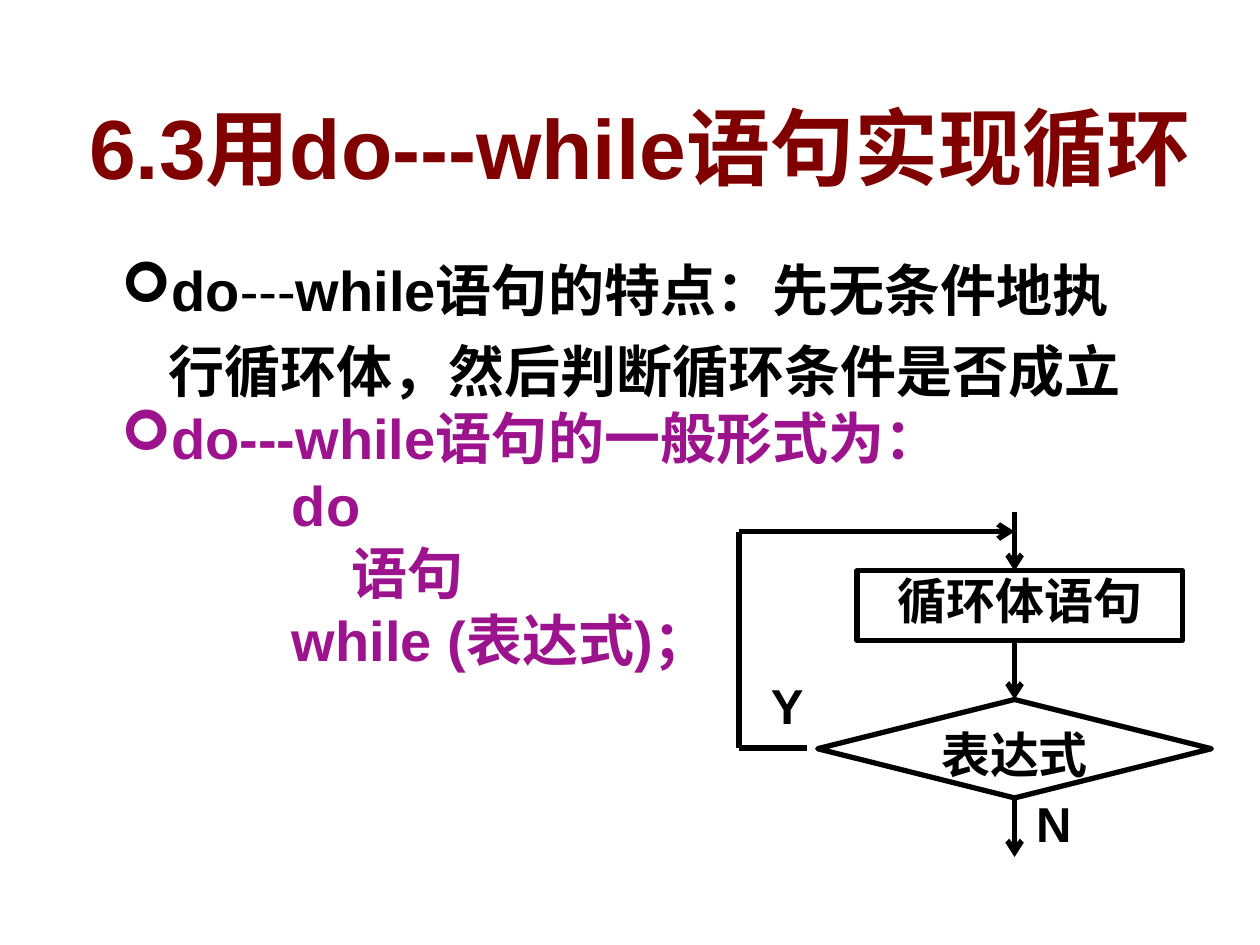
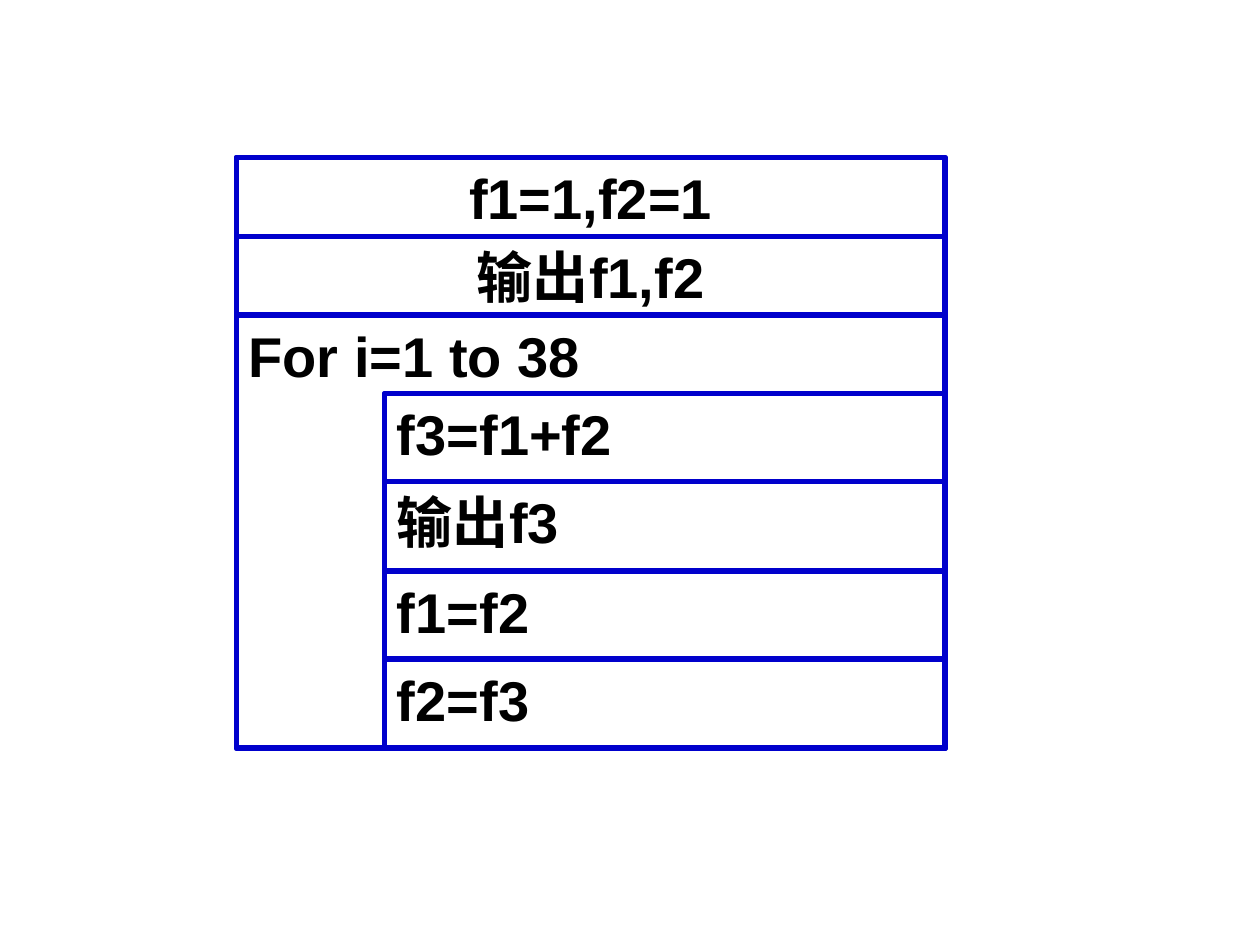
from dataclasses import dataclass

from pptx import Presentation
from pptx.dml.color import RGBColor
from pptx.enum.lang import MSO_LANGUAGE_ID
from pptx.enum.shapes import MSO_CONNECTOR, MSO_SHAPE
from pptx.enum.text import MSO_ANCHOR, PP_ALIGN
from pptx.oxml import parse_xml
from pptx.oxml.ns import nsdecls, qn
from pptx.util import Pt

EMU_PER_PX = 9525
FONT = "Arial"
BLACK, WHITE = "000000", "FFFFFF"
MAROON, PURPLE, BLUE = "800000", "9D138D", "0000CC"
TITLE_SIZE, BODY_SIZE, FLOW_SIZE = 48, 32, 28
LINE_WIDTH = 3
BULLET_INDENT = 36

LEFT, CENTER = PP_ALIGN.LEFT, PP_ALIGN.CENTER
TOP, MIDDLE = MSO_ANCHOR.TOP, MSO_ANCHOR.MIDDLE
STRAIGHT = MSO_CONNECTOR.STRAIGHT
PROCESS = MSO_SHAPE.FLOWCHART_PROCESS
DECISION = MSO_SHAPE.FLOWCHART_DECISION
RECTANGLE = MSO_SHAPE.RECTANGLE
CHINESE = MSO_LANGUAGE_ID.SIMPLIFIED_CHINESE
SIDE_TOP, SIDE_BOTTOM = 0, 2


@dataclass
class Box:
    left: int
    top: int
    width: int
    height: int

    def emu(self) -> list[int]:
        return [px(n) for n in (self.left, self.top, self.width, self.height)]


@dataclass
class Segment:
    text: str
    bold: bool = True


@dataclass
class BodyLine:
    segments: list[Segment]
    color: str = PURPLE
    margin: int = BULLET_INDENT
    bullet: bool = False
    line_spacing: float = 1.0
    space_before: int = 0


@dataclass
class Cell:
    box: Box
    text: str = ""
    align: PP_ALIGN = LEFT
    kind: MSO_SHAPE = PROCESS


def px(length: int) -> int:
    return length * EMU_PER_PX


def rgb(color: str) -> RGBColor:
    return RGBColor.from_string(color)


def add_run(paragraph, text: str, size: int, color: str = BLACK, bold: bool = True):
    run = paragraph.add_run()
    run.text = text
    font = run.font
    font.name, font.size, font.bold = FONT, Pt(size), bold
    font.color.rgb = rgb(color)
    font.language_id = CHINESE
    return run


def add_text_shadow(run) -> None:
    fill = run._r.get_or_add_rPr().find(qn("a:solidFill"))
    fill.addnext(parse_xml(
        f'<a:effectLst {nsdecls("a")}><a:outerShdw dist="38100" dir="2700000">'
        '<a:srgbClr val="C0C0C0"/></a:outerShdw></a:effectLst>'))


def add_text_box(slide, box: Box, anchor: MSO_ANCHOR = TOP):
    frame = slide.shapes.add_textbox(*box.emu()).text_frame
    frame.word_wrap = True
    frame.vertical_anchor = anchor
    return frame


def add_title(slide, text: str) -> None:
    frame = add_text_box(slide, Box(45, 30, 885, 163), MIDDLE)
    paragraph = frame.paragraphs[0]
    paragraph.alignment = CENTER
    add_text_shadow(add_run(paragraph, text, TITLE_SIZE, MAROON))


def set_indent(paragraph, line: BodyLine) -> None:
    """Set the left margin, with a hanging arrow bullet where there is one."""
    properties = paragraph._p.get_or_add_pPr()
    properties.set("marL", str(px(line.margin)))
    properties.set("indent", str(-px(BULLET_INDENT) if line.bullet else 0))
    if line.bullet:
        for xml in (f'<a:buClr {nsdecls("a")}><a:srgbClr val="{line.color}"/></a:buClr>',
                    f'<a:buFont {nsdecls("a")} typeface="Wingdings" charset="2"/>',
                    f'<a:buChar {nsdecls("a")} char="➢"/>'):
            properties.append(parse_xml(xml))


def add_body(slide, box: Box, lines: list[BodyLine]) -> None:
    frame = add_text_box(slide, box)
    for index, line in enumerate(lines):
        paragraph = frame.add_paragraph() if index else frame.paragraphs[0]
        paragraph.line_spacing = line.line_spacing
        paragraph.space_before = Pt(line.space_before)
        set_indent(paragraph, line)
        for segment in line.segments:
            add_run(paragraph, segment.text, BODY_SIZE, line.color, segment.bold)


def add_cell(shapes, cell: Cell, line_color: str, size: int, inset: bool = True):
    shape = shapes.add_shape(cell.kind, *cell.box.emu())
    shape.shadow.inherit = False
    shape.fill.solid()
    shape.fill.fore_color.rgb = rgb(WHITE)
    shape.line.color.rgb = rgb(line_color)
    shape.line.width = Pt(LINE_WIDTH)
    frame = shape.text_frame
    frame.word_wrap = True
    frame.vertical_anchor = TOP
    if not inset:
        frame.margin_left = frame.margin_right = 0
        frame.margin_top = frame.margin_bottom = 0
    if cell.text:
        paragraph = frame.paragraphs[0]
        paragraph.alignment = cell.align
        add_run(paragraph, cell.text, size)
    return shape


def add_flow_line(slide, x1: int, y1: int, x2: int, y2: int, arrow: bool = True):
    connector = slide.shapes.add_connector(STRAIGHT, px(x1), px(y1), px(x2), px(y2))
    connector.line.color.rgb = rgb(BLACK)
    connector.line.width = Pt(LINE_WIDTH)
    if arrow:
        connector.line._get_or_add_ln().append(
            parse_xml(f'<a:tailEnd {nsdecls("a")} type="arrow"/>'))
    connector._element.spPr.append(parse_xml(f'<a:effectLst {nsdecls("a")}/>'))
    return connector


def add_flowchart(slide) -> None:
    decision_box = Box(623, 533, 300, 75)
    loop_box = Box(653, 435, 248, 53)
    decision = add_cell(slide.shapes, Cell(decision_box, "表达式", CENTER, DECISION),
                        BLACK, FLOW_SIZE, inset=False)
    for text, left, top in (("Y", 578, 510), ("N", 780, 600)):
        frame = add_text_box(slide, Box(left, top, 53, 55))
        add_run(frame.paragraphs[0], text, FLOW_SIZE)
    add_cell(slide.shapes, Cell(loop_box, "循环体语句", CENTER),
             BLACK, FLOW_SIZE, inset=False)

    axis = decision_box.left + decision_box.width // 2
    step = 45
    loop_bottom = loop_box.top + loop_box.height
    decision_bottom = decision_box.top + decision_box.height
    add_flow_line(slide, axis, loop_box.top - step, axis, loop_box.top)
    to_decision = add_flow_line(slide, axis, loop_bottom, axis, decision_box.top)
    to_decision.end_connect(decision, SIDE_TOP)
    leave = add_flow_line(slide, axis, decision_bottom, axis, decision_bottom + step)
    leave.begin_connect(decision, SIDE_BOTTOM)

    back_x, back_top, back_bottom = 563, 405, 570
    add_flow_line(slide, 615, back_bottom, back_x, back_bottom, arrow=False)
    add_flow_line(slide, back_x, back_bottom, back_x, back_top, arrow=False)
    add_flow_line(slide, back_x, back_top, axis, back_top)


def build_do_while_slide(slide) -> None:
    add_title(slide, "6.3用do---while语句实现循环")
    add_body(slide, Box(83, 180, 810, 375), [
        BodyLine([Segment("do"), Segment("---", False),
                  Segment("while语句的特点：先无条件地执行循环体，然后判断循环条件是否成立")],
                 BLACK, bullet=True, line_spacing=1.2, space_before=8),
        BodyLine([Segment("do---while语句的一般形式为：")], bullet=True),
        BodyLine([Segment("do")], margin=130),
        BodyLine([Segment("语句")], margin=175),
        BodyLine([Segment("while (表达式)；")], margin=130),
    ])
    add_flowchart(slide)


def build_fibonacci_slide(slide) -> None:
    """Draw the nested box diagram of the Fibonacci loop."""
    frame = Box(180, 120, 540, 450)
    row = 60
    body_left, body_top = 293, frame.top + 3 * row
    body_width = frame.left + frame.width - body_left
    body_height = frame.top + frame.height - body_top
    statements = ("f3=f1+f2", "输出f3", "f1=f2", "f2=f3")
    edges = [body_top + i * body_height // len(statements)
             for i in range(len(statements) + 1)]

    cells = [
        Cell(frame),
        Cell(Box(frame.left, frame.top + row, frame.width, row),
             "输出f1,f2", CENTER, RECTANGLE),
        Cell(Box(frame.left, frame.top + 2 * row, frame.width, frame.height - 2 * row),
             "For i=1 to 38", LEFT, RECTANGLE),
        Cell(Box(body_left, body_top, body_width, body_height)),
    ]
    cells += [Cell(Box(body_left, top, body_width, bottom - top), text)
              for text, top, bottom in zip(statements, edges, edges[1:])]
    cells.append(Cell(Box(frame.left, frame.top, frame.width, row),
                      "f1=1,f2=1", CENTER, RECTANGLE))
    group = slide.shapes.add_group_shape()
    for cell in cells:
        add_cell(group.shapes, cell, BLUE, BODY_SIZE)


def main() -> None:
    presentation = Presentation()
    presentation.slide_width, presentation.slide_height = px(960), px(720)
    blank = presentation.slide_layouts[6]
    for build in (build_do_while_slide, build_fibonacci_slide):
        build(presentation.slides.add_slide(blank))
    presentation.save("out.pptx")


if __name__ == "__main__":
    main()
